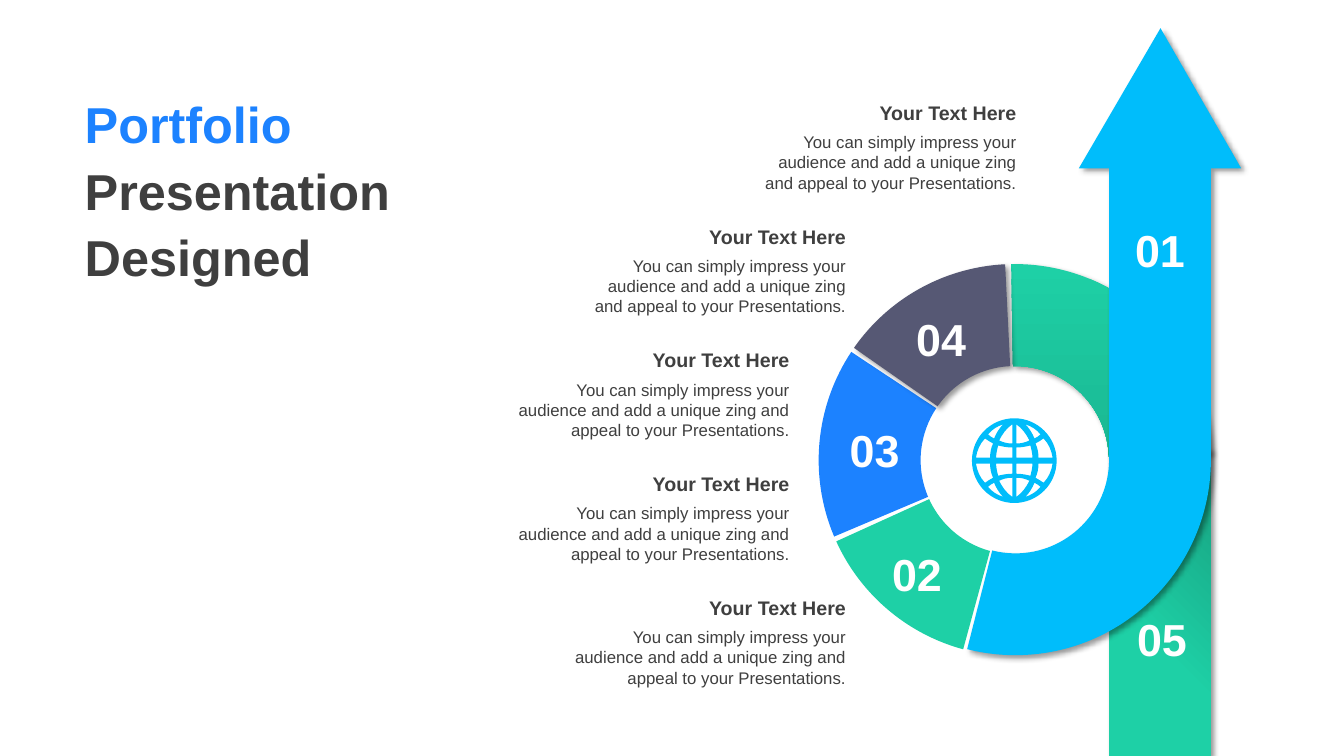
from math import cos, radians, sin, tan

from lxml.etree import SubElement
from pptx import Presentation
from pptx.dml.color import RGBColor
from pptx.enum.shapes import MSO_SHAPE
from pptx.enum.text import MSO_ANCHOR, MSO_AUTO_SIZE, PP_ALIGN
from pptx.oxml.ns import qn
from pptx.util import Inches, Pt

FONT = "Arial"
SKY, MINT, PINE, BLUE, SLATE = "00BDFB", "1ED0A6", "169C7C", "1C82FF", "565874"
INK, WHITE = "3F3F3F", "FFFFFF"

TITLE = [("Portfolio ", BLUE), ("Presentation Designed", INK)]
HEADING = "Your Text Here"
BODY = ("You can simply impress your audience and add a unique zing "
        "and appeal to your Presentations.")
CAPTIONS = [(10.18, 2.84), (8.49, 2.72), (7.93, 3.03), (7.93, 3), (8.49, 3.03)]
CAPTION_TOP, CAPTION_BOTTOM, BODY_DROP = 0.95, 5.86, 0.31
NUMBERS = [("05", 10.97, 6.02), ("02", 8.54, 5.37), ("03", 8.12, 4.14),
           ("04", 8.78, 3.04), ("01", 10.95, 2.16)]
SLICES = [(MINT, 285, (108.15, 138.31, 0.26), False),
          (BLUE, 337, (108.04, 141.9, 0.26), False),
          (SLATE, 36, (107.35, 138.7, 0.26), True)]

HUB = (10.07, 4.56)
OUTER, INNER = 1.94, 0.93
RING = (8.12, 2.62, 3.89, 3.89)
ARROW_END = 104.25
GLOBE_HUB = (10.06, 4.57)
GLOBE_RADIUS = 0.42
GLOBE_CELLS = [
    [[(0.2, 0.22)], [(0.18, 0.27), (0.15, 0.32), (0.11, 0.36)],
     [(0.17, 0.34), (0.22, 0.31), (0.26, 0.26)],
     [(0.24, 0.24), (0.22, 0.23), (0.2, 0.22)]],
    [[(0.02, 0.17)], [(0.02, 0.36)], [(0.08, 0.32), (0.12, 0.26), (0.15, 0.2)],
     [(0.11, 0.18), (0.07, 0.17), (0.02, 0.17)]],
    [[(0.24, 0.03)], [(0.24, 0.08), (0.23, 0.13), (0.21, 0.17)],
     [(0.24, 0.19), (0.27, 0.2), (0.29, 0.22)],
     [(0.34, 0.17), (0.37, 0.1), (0.38, 0.03)]],
    [[(0.02, 0.03)], [(0.02, 0.13)], [(0.07, 0.13), (0.12, 0.14), (0.16, 0.15)],
     [(0.17, 0.11), (0.18, 0.07), (0.18, 0.03)]],
]


def rgb(code):
    return RGBColor.from_string(code)


def finish(shape, color, shadowed=False):
    shape.fill.solid()
    shape.fill.fore_color.rgb = rgb(color)
    shape.line.fill.background()
    shape.shadow.inherit = False
    if shadowed:
        effects = shape._element.spPr.find(qn("a:effectLst"))
        shadow = SubElement(effects, qn("a:outerShdw"), blurRad=str(Pt(4)), dist=str(Pt(3)),
                            dir="2700000", algn="tl", rotWithShape="0")
        tone = SubElement(shadow, qn("a:srgbClr"), val="000000")
        SubElement(tone, qn("a:alpha"), val="40000")


def add_preset(preset, box, color, shadowed, rotation=0, adjustments=()):
    shape = slide.shapes.add_shape(preset, *map(Inches, box))
    shape.rotation = rotation
    for index, value in enumerate(adjustments):
        shape.adjustments[index] = value
    finish(shape, color, shadowed)
    return shape


def shade(shape, angle, start):
    shape.fill.gradient()
    shape.fill.gradient_angle = angle
    for stop, color, position in zip(shape.fill.gradient_stops, (MINT, PINE), (start, 1)):
        stop.color.rgb = rgb(color)
        stop.position = position


def polar(hub, radius, degrees):
    return (hub[0] + radius * cos(radians(degrees)), hub[1] + radius * sin(radians(degrees)))


def arc(hub, radius, *stops):
    curves = []
    for start, end in zip(stops, stops[1:]):
        reach = 4 / 3 * tan(radians(end - start) / 4) * radius
        (x1, y1), (x2, y2) = polar(hub, radius, start), polar(hub, radius, end)
        a, b = radians(start), radians(end)
        curves.append([(x1 - reach * sin(a), y1 + reach * cos(a)),
                       (x2 + reach * sin(b), y2 - reach * cos(b)), (x2, y2)])
    return curves


def add_outline(contours, color, shadowed=False):
    builder = None
    for contour in contours:
        start, *points = [tuple(map(Inches, point)) for segment in contour for point in segment]
        if builder is None:
            builder = slide.shapes.build_freeform(*start, scale=1)
        else:
            builder.move_to(*start)
        builder.add_line_segments(points, close=True)
    shape = builder.convert_to_shape()
    lines = iter(list(shape._element.iter(qn("a:lnTo"))))
    for contour in contours:
        for segment in contour[1:]:
            first, *others = [next(lines) for _ in segment]
            if others:
                first.tag = qn("a:cubicBezTo")
            for line in others:
                first.append(line[0])
                line.getparent().remove(line)
    finish(shape, color, shadowed)


def style(font, size, bold):
    font.name, font.size, font.bold = FONT, Pt(size), bold


def add_text(text, box, size, color, align, bold=True):
    frame = slide.shapes.add_textbox(*map(Inches, box)).text_frame
    frame.word_wrap = True
    paragraph = frame.paragraphs[0]
    paragraph.text = text
    paragraph.alignment = align
    style(paragraph.font, size, bold)
    paragraph.font.color.rgb = rgb(color)


deck = Presentation()
deck.slide_width, deck.slide_height = Inches(13.33), Inches(7.5)
slide = deck.slides.add_slide(deck.slide_layouts[5])

title = slide.shapes.title
title.left, title.top, title.width, title.height = map(Inches, (0.74, 0.83, 3.39, 2.05))
title.text_frame.word_wrap = True
title.text_frame.auto_size = MSO_AUTO_SIZE.NONE
title.text_frame.vertical_anchor = MSO_ANCHOR.MIDDLE
title_line = title.text_frame.paragraphs[0]
title_line.alignment = PP_ALIGN.LEFT
title_line.line_spacing = 1.1
style(title_line.font, 36, True)
for words, color in TITLE:
    run = title_line.add_run()
    run.text = words
    run.font.color.rgb = rgb(color)

upper_band = add_preset(MSO_SHAPE.BLOCK_ARC, RING, MINT, True, 90, (107.35, 160.74, 0.26))
shade(upper_band, 0, 0)
lower_band = add_preset(MSO_SHAPE.RECTANGLE, (11, 4.46, 1.01, 3.04), MINT, True)
shade(lower_band, 45, 0.38)

hook = [[polar(HUB, OUTER, 0)], *arc(HUB, OUTER, 0, 90, ARROW_END),
        [polar(HUB, INNER, ARROW_END)], *arc(HUB, INNER, ARROW_END, 90, 0)]
shaft = [[(11, 1.67)], [(12.01, 1.67)], [(12.01, HUB[1])], [(11, HUB[1])]]
head = [[(11.51, 0.28)], [(12.31, 1.67)], [(10.7, 1.67)]]
add_outline([hook, shaft, head], SKY, True)

for color, rotation, adjustments, shadowed in SLICES:
    add_preset(MSO_SHAPE.BLOCK_ARC, RING, color, shadowed, rotation, adjustments)

for number, left, top in NUMBERS:
    add_text(number, (left, top, 1.11, 0.64), 32, WHITE, PP_ALIGN.CENTER)

caption_step = (CAPTION_BOTTOM - CAPTION_TOP) / (len(CAPTIONS) - 1)
for row, (right, width) in enumerate(CAPTIONS):
    top = CAPTION_TOP + row * caption_step
    add_text(BODY, (right - width, top + BODY_DROP, width, 0.71), 12, INK, PP_ALIGN.RIGHT, False)
    add_text(HEADING, (right - width, top, width, 0.34), 14, INK, PP_ALIGN.RIGHT)

globe = [[[polar(GLOBE_HUB, GLOBE_RADIUS, 0)],
          *arc(GLOBE_HUB, GLOBE_RADIUS, 0, 90, 180, 270, 360)]]
for cell in GLOBE_CELLS:
    for flip_x, flip_y in ((1, 1), (-1, 1), (1, -1), (-1, -1)):
        globe.append([[(GLOBE_HUB[0] + flip_x * x, GLOBE_HUB[1] + flip_y * y)
                       for x, y in segment] for segment in cell])
add_outline(globe, SKY)

deck.save("out.pptx")
